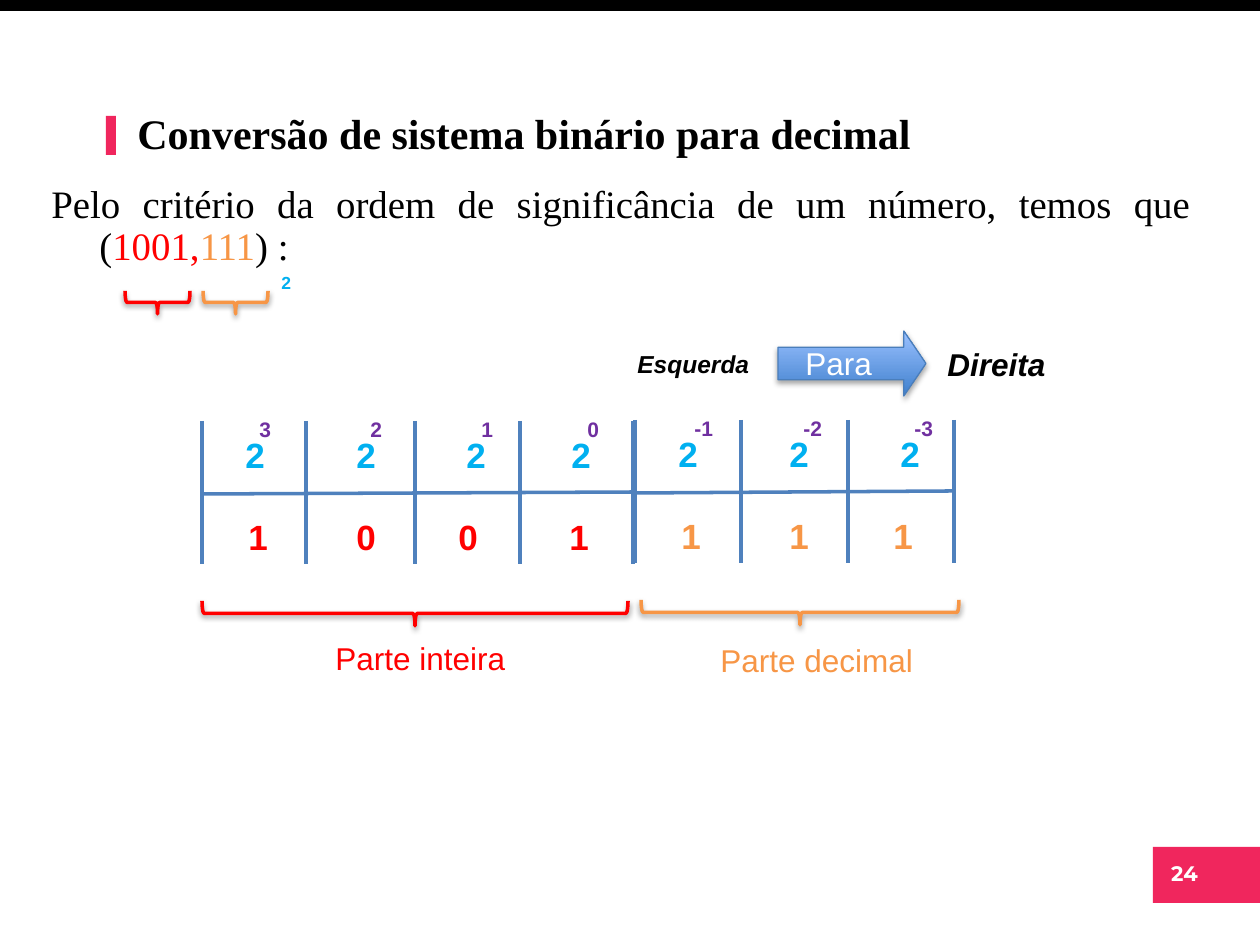
from lxml.etree import SubElement
from pptx import Presentation
from pptx.dml.color import RGBColor as RGB
from pptx.enum.shapes import MSO_CONNECTOR as Link, MSO_SHAPE as Form
from pptx.enum.text import PP_ALIGN as Align
from pptx.oxml.ns import qn
from pptx.util import Emu, Pt

PX = 914400 / 126
HUES = {
    "black": "000000", "white": "FFFFFF", "pink": "F0265D", "red": "FF0000",
    "orange": "F79646", "cyan": "00B0F0", "purple": "7030A0", "blue": "4F81BD",
    "edge": "4A7EBB", "deep": "3F80CD", "light": "9BC1FF",
}
SANS, SERIF = "Arial", "Times New Roman"
FONTS = {
    "page": {"name": "Montserrat", "size": Pt(12), "bold": True},
    "title": {"name": SERIF, "size": Pt(24), "bold": True},
    "body": {"name": SERIF, "size": Pt(22.2)},
    "digit": {"name": SANS, "size": Pt(20), "bold": True},
    "power": {"name": SANS, "size": Pt(12), "bold": True},
    "sub": {"name": SANS, "size": Pt(10), "bold": True},
    "label": {"name": SANS, "size": Pt(18)},
    "right": {"name": SANS, "size": Pt(18), "bold": True, "italic": True},
    "left": {"name": SANS, "size": Pt(14), "bold": True, "italic": True},
}
GRIDS = [
    {"hue": "red", "top": 421, "rules": [202, 306, 415, 520, 633],
     "bits": [("1", 236), ("0", 344), ("0", 446), ("1", 557)],
     "bases": [233, 344, 454, 559],
     "powers": [("3", 247), ("2", 358), ("1", 469), ("0", 575)],
     "braces": [(202, 601, 426, 25), (125, 291, 65, 23)],
     "name": ("Parte inteira", 323, 633, 195)},
    {"hue": "orange", "top": 420, "rules": [635, 741, 848, 954],
     "bits": [("1", 669), ("1", 777), ("1", 881)],
     "bases": [666, 777, 888],
     "powers": [("-1", 682), ("-2", 791), ("-3", 902)],
     "braces": [(641, 600, 318, 25), (203, 291, 65, 23)],
     "name": ("Parte decimal", 708, 635, 218)},
]


def px(*nums):
    return [Emu(round(n * PX)) for n in nums]


def tint(hue):
    return RGB.from_string(HUES[hue])


class Deck:
    """Draws styled elements on the current slide."""

    def __init__(self, wide, high):
        self.show = Presentation()
        self.show.slide_width, self.show.slide_height = px(wide, high)
        self.slide = self.show.slides.add_slide(self.show.slide_layouts[6])

    def text(self, box, runs, style, align=Align.LEFT, pad=0, hang=0, space=None):
        frame = self.slide.shapes.add_textbox(*px(*box)).text_frame
        frame.word_wrap = True
        para = frame.paragraphs[0]
        para.alignment, para.line_spacing = align, space
        if pad:
            props = para._p.get_or_add_pPr()
            left, first = px(pad, hang)
            props.set("marL", str(left))
            props.set("indent", str(first))
        for words, hue in runs:
            run = para.add_run()
            run.text = words
            for key, value in FONTS[style].items():
                setattr(run.font, key, value)
            run.font.color.rgb = tint(hue)

    def shape(self, form, box):
        item = self.slide.shapes.add_shape(form, *px(*box))
        item.shadow.inherit = False
        return item

    def block(self, box, hue):
        item = self.shape(Form.RECTANGLE, box)
        item.fill.solid()
        item.fill.fore_color.rgb = tint(hue)
        item.line.fill.background()

    def line(self, ends, hue):
        item = self.slide.shapes.add_connector(Link.STRAIGHT, *px(*ends))
        item.line.color.rgb = tint(hue)
        item.line.width = Pt(2)
        SubElement(item._element.spPr, qn("a:effectLst"))

    def shade(self, item, drop, alpha):
        effect = item._element.spPr.find(qn("a:effectLst"))
        cast = SubElement(effect, qn("a:outerShdw"), blurRad="40000",
                          dist=str(Pt(drop)), dir="5400000", rotWithShape="0")
        color = SubElement(cast, qn("a:srgbClr"), val=HUES["black"])
        SubElement(color, qn("a:alpha"), val=str(alpha * 1000))

    def brace(self, box, hue):
        left, top, wide, high = box
        shift = (wide - high) / 2
        item = self.shape(Form.RIGHT_BRACE, (left + shift, top - shift, high, wide))
        item.rotation = 90
        item.fill.background()
        item.line.color.rgb = tint(hue)
        item.line.width = Pt(2)
        self.shade(item, 1.6, 38)

    def arrow(self, box):
        item = self.shape(Form.RIGHT_ARROW, box)
        item.adjustments[1] = 0.34
        item.fill.gradient()
        item.fill.gradient_angle = 90
        for stop, hue in zip(item.fill.gradient_stops, ("deep", "light")):
            stop.color.rgb = tint(hue)
        item.line.color.rgb = tint("edge")
        item.line.width = Pt(0.75)
        self.shade(item, 1.8, 35)

    def grid(self, hue, top, rules, bits, bases, powers, braces, name):
        self.line((rules[0], top + 73, rules[-1], top + 71), "blue")
        for x in rules:
            self.line((x, top, x, top + 143), "blue")
        for bit, x in bits:
            self.text((x, top + 88, 34, 55), [(bit, hue)], "digit", Align.CENTER)
        for x in bases:
            self.text((x, top + 6, 34, 55), [("2", "cyan")], "digit", Align.CENTER)
        for power, x in powers:
            self.text((x, top - 11, 55, 38), [(power, "purple")], "power")
        for box in braces:
            self.brace(box, hue)
        words, x, y, wide = name
        self.text((x, y, wide, 50), [(words, hue)], "label")


def main():
    deck = Deck(1260, 945)
    deck.block((0, 0, 1260, 11), "black")
    deck.block((1153, 847, 108, 56), "pink")
    deck.text((1118, 854, 133, 42), [("24", "white")], "page", Align.CENTER)
    deck.block((106, 116, 10, 39), "pink")
    deck.text((39, 179, 1165, 110), [
        ("Pelo critério da ordem de significância de um número, temos que (", "black"),
        ("1001,", "red"), ("111", "orange"), (") :", "black"),
    ], "body", Align.JUSTIFY, pad=48, hang=-48, space=0.9)
    deck.text((-1, 101, 957, 63),
              [("Conversão de sistema binário para decimal", "black")], "title", pad=126)
    deck.text((269, 266, 53, 34), [("2", "cyan")], "sub")
    for grid in GRIDS:
        deck.grid(**grid)
    deck.text((935, 339, 193, 50), [("Direita", "black")], "right")
    deck.text((625, 343, 232, 43), [("Esquerda", "black")], "left")
    deck.arrow((778, 331, 148, 65))
    deck.text((793, 338, 98, 50), [("Para", "white")], "label")
    deck.show.save("out.pptx")


if __name__ == "__main__":
    main()
